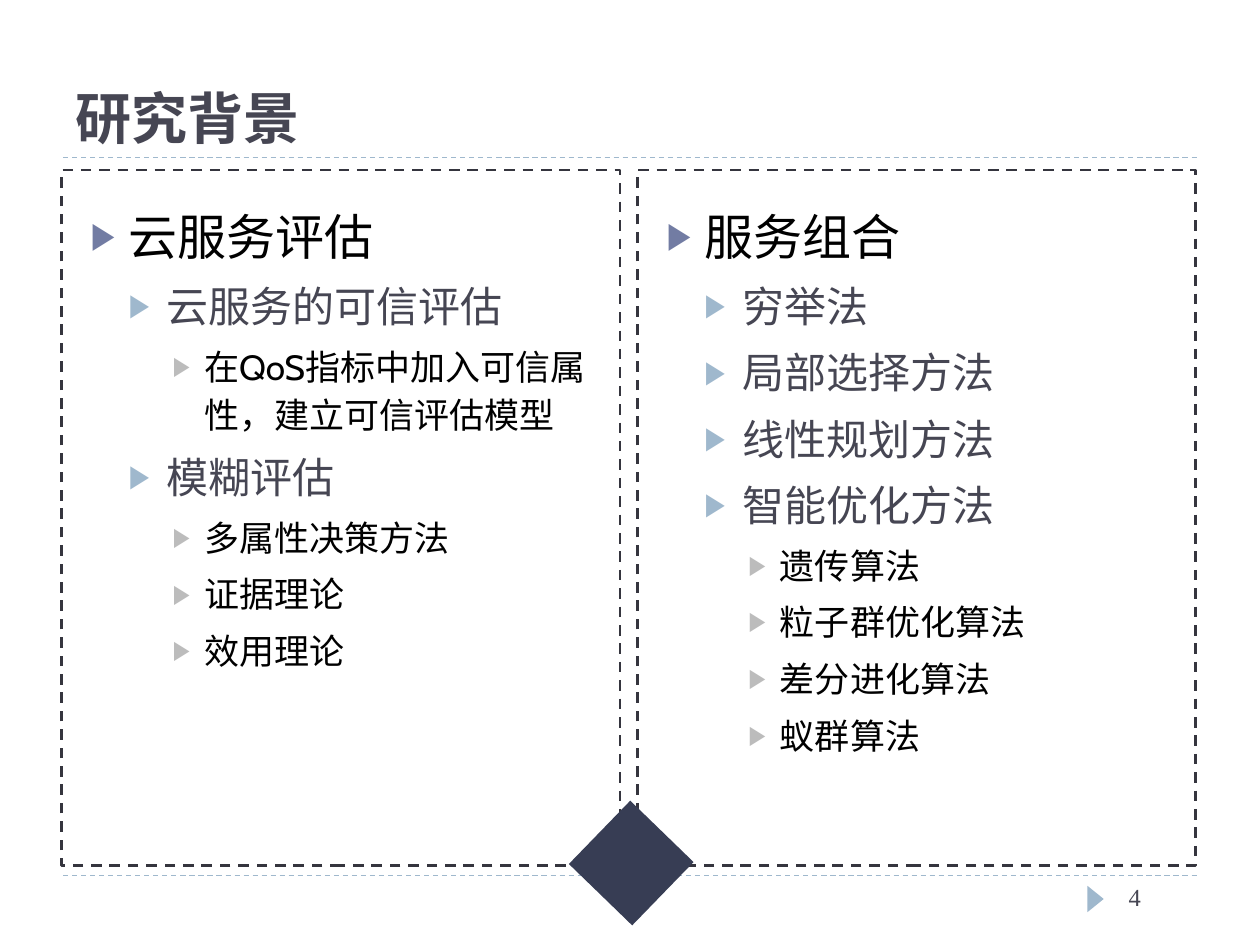
from lxml import etree
from pptx import Presentation
from pptx.dml.color import RGBColor
from pptx.enum.dml import MSO_LINE
from pptx.enum.shapes import MSO_CONNECTOR, MSO_SHAPE
from pptx.enum.text import MSO_ANCHOR, MSO_AUTO_SIZE, PP_ALIGN
from pptx.oxml.ns import qn
from pptx.util import Pt

DASH = MSO_LINE.DASH
LINE = MSO_CONNECTOR.STRAIGHT
RECT = MSO_SHAPE.RECTANGLE
ARROW = MSO_SHAPE.ISOSCELES_TRIANGLE
BOTTOM, TOP = MSO_ANCHOR.BOTTOM, MSO_ANCHOR.TOP
LEFT = PP_ALIGN.LEFT
FIXED = MSO_AUTO_SIZE.NONE

# Per level: indent, hanging, space before, size, text colour, bullet colour
LEVELS = [
    (21.6, 21.6, 6, 28, "000000", "727CA3"),
    (43.2, 21.6, 5, 24, "464653", "9FB8CD"),
    (64.8, 18, 5, 20, "000000", "BCBCBC"),
]
LISTS = [
    [(0, "云服务评估"), (1, "云服务的可信评估"),
     (2, "在QoS指标中加入可信属性，建立可信评估模型"),
     (1, "模糊评估"), (2, "多属性决策方法"), (2, "证据理论"), (2, "效用理论")],
    [(0, "服务组合"), (1, "穷举法"), (1, "局部选择方法"), (1, "线性规划方法"),
     (1, "智能优化方法"), (2, "遗传算法"), (2, "粒子群优化算法"),
     (2, "差分进化算法"), (2, "蚁群算法")],
]


def color(code):
    return RGBColor.from_string(code)


def place(shape, left, top, width, height):
    shape.left, shape.top = Pt(left), Pt(top)
    shape.width, shape.height = Pt(width), Pt(height)


deck = Presentation()
deck.slide_width, deck.slide_height = Pt(720), Pt(540)
slide = deck.slides.add_slide(deck.slide_layouts[3])
shapes = slide.shapes
title, *bodies = slide.placeholders

# Title
place(title, 36, 12.24, 648, 77.76)
frame = title.text_frame
frame.text = "研究背景"
frame.vertical_anchor = BOTTOM
frame.auto_size = FIXED
para = frame.paragraphs[0]
para.alignment = LEFT
para.font.name, para.font.size, para.font.bold = "Roboto Slab", Pt(32), True
para.font.color.rgb = color("464653")

# Rules above and below the content
for y in (500.4, 90):
    rule = shapes.add_connector(LINE, Pt(36), Pt(y), Pt(684), Pt(y))
    rule.line.color.rgb = color("9FB8CD")
    rule.line.width = Pt(0.75)
    rule.line.dash_style = DASH
    etree.SubElement(rule._element.spPr, qn("a:effectLst"))

# Two framed lists
for col, (body, items) in enumerate(zip(bodies, LISTS)):
    left = 35.28 + col * 329.04
    box = shapes.add_shape(RECT, Pt(left), Pt(97.2), Pt(318.96), Pt(397.44))
    box.shadow.inherit = False
    box.fill.background()
    box.line.color.rgb = color("35353E")
    box.line.width = Pt(1.5)
    box.line.dash_style = DASH

    place(body, left + 9.36, 109.44, 299.52, 381.6)
    frame = body.text_frame
    frame.auto_size = FIXED
    frame.vertical_anchor = TOP
    for i, (level, text) in enumerate(items):
        indent, hang, before, size, ink, mark = LEVELS[level]
        para = frame.add_paragraph() if i else frame.paragraphs[0]
        para.text = text
        para.level = level
        para.line_spacing = 1.14
        para.space_before = Pt(before if i else 0)
        props = para._p.get_or_add_pPr()
        props.set("marL", str(Pt(indent)))
        props.set("indent", str(-Pt(hang)))
        tint = etree.SubElement(props, qn("a:buClr"))
        etree.SubElement(tint, qn("a:srgbClr"), val=mark)
        etree.SubElement(props, qn("a:buSzPct"), val="76000")
        etree.SubElement(props, qn("a:buChar"), char="▶")
        para.font.name, para.font.size = "Cabin", Pt(size)
        para.font.color.rgb = color(ink)

# Diamond between the frames and marker beside the page number
for kind, left, top, width, height, turn, fill in (
    (RECT, 335.52, 468, 50.4, 50.4, 44.1, "373D54"),
    (ARROW, 618.48, 509.04, 15.12, 9.36, 90, "9FB8CD"),
):
    shape = shapes.add_shape(kind, Pt(left), Pt(top), Pt(width), Pt(height))
    shape.shadow.inherit = False
    shape.rotation = turn
    shape.fill.solid()
    shape.fill.fore_color.rgb = color(fill)
    shape.line.fill.background()

# Page number
page = shapes.add_textbox(Pt(637.92), Pt(500.4), Pt(56.88), Pt(28.8))
page.text_frame.word_wrap = True
para = page.text_frame.paragraphs[0]
para.text = "4"
para.font.name, para.font.size = "Times New Roman", Pt(14)
para.font.color.rgb = color("464653")

deck.save("out.pptx")
